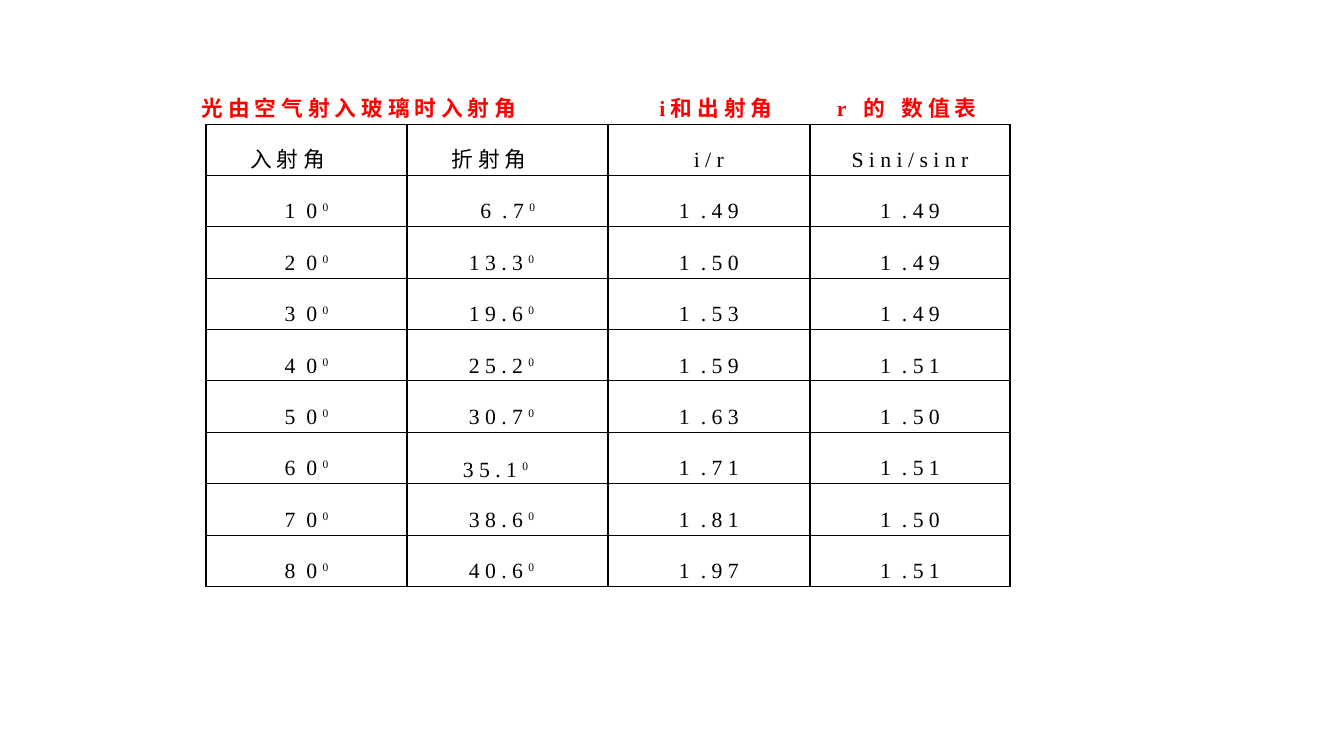
from lxml.etree import SubElement
from pptx import Presentation
from pptx.dml.color import RGBColor
from pptx.enum.text import MSO_ANCHOR as Anchor, MSO_AUTO_SIZE as AutoSize, PP_ALIGN as Align
from pptx.oxml.ns import qn
from pptx.util import Pt

SCALE = 9144
COLOURS = {"heading": "FF0000", "ink": "000000"}
CJK, LATIN = "Noto Sans CJK SC", "Times New Roman"
BODY_SIZE, DEGREE_SIZE, WIDE_GAP = 15.5, 14.2, 200

HEADERS = [("入 射 角", CJK), ("折 射 角", CJK), ("i / r", LATIN), ("S i n i / s i n r", LATIN)]
READINGS = [
    ("10", "6.7", "1.49", "1.49"),
    ("20", "13.3", "1.50", "1.49"),
    ("30", "19.6", "1.53", "1.49"),
    ("40", "25.2", "1.59", "1.51"),
    ("50", "30.7", "1.63", "1.50"),
    ("60", "35.1", "1.71", "1.51"),
    ("70", "38.6", "1.81", "1.50"),
    ("80", "40.6", "1.97", "1.51"),
]


class Slide:
    """Holds the style and the current page, and draws each kind of element."""

    def __init__(self, deck):
        self.page = deck.slides.add_slide(deck.slide_layouts[5])

    def px(self, *lengths):
        return [length * SCALE for length in lengths]

    def add_text(self, para, spans, face, colour, bold=False, tabs=()):
        properties = para._p.get_or_add_pPr()
        if tabs:
            tab_list = SubElement(properties, qn("a:tabLst"))
            for stop in tabs:
                SubElement(tab_list, qn("a:tab"), pos=str(stop * SCALE), algn="l")
        font = para.font
        font.size, font.bold = Pt(BODY_SIZE), bold
        font.color.rgb = RGBColor.from_string(COLOURS[colour])
        font.name = face
        SubElement(properties.find(qn("a:defRPr")), qn("a:ea"), typeface=CJK)
        for text, look in spans:
            span = para.add_run()
            span.text = text
            if "face" in look:
                span.font.name = look["face"]
                SubElement(span._r.get_or_add_rPr(), qn("a:ea"), typeface=CJK)
            if "gap" in look:
                span._r.get_or_add_rPr().set("spc", str(look["gap"]))
            if "raised" in look:
                span.font.size = Pt(DEGREE_SIZE)
                span._r.get_or_add_rPr().set("baseline", str(look["raised"]))

    def heading(self, box, left, width, spans, face, tabs=()):
        box.left, box.top, box.width, box.height = self.px(left, 92, width, 29)
        frame = box.text_frame
        frame.word_wrap, frame.auto_size = True, AutoSize.NONE
        frame.vertical_anchor = Anchor.TOP
        frame.margin_left, frame.margin_top, frame.margin_right, frame.margin_bottom = self.px(1, 2, 0, 0)
        para = frame.paragraphs[0]
        para.alignment = Align.LEFT
        self.add_text(para, spans, face, "heading", True, tabs)

    def title(self, *details):
        self.heading(self.page.shapes.title, *details)

    def label(self, *details):
        self.heading(self.page.shapes.add_textbox(0, 0, 0, 0), *details)

    def table(self, rows, columns, left, top, width, height):
        grid = self.page.shapes.add_table(rows, columns, *self.px(left, top, width, height)).table
        grid.first_row = grid.horz_banding = False
        return grid

    def cell(self, cell, spans, face, indent=0, top=24):
        cell.margin_left, cell.margin_top, cell.margin_right, cell.margin_bottom = self.px(indent, top, 0, 0)
        cell.vertical_anchor = Anchor.TOP
        properties = cell._tc.get_or_add_tcPr()
        for side, weight in (("lnL", 1.5), ("lnR", 1.5), ("lnT", 0.75), ("lnB", 0.75)):
            line = SubElement(properties, qn(f"a:{side}"), w=str(Pt(weight)))
            fill = SubElement(line, qn("a:solidFill"))
            SubElement(fill, qn("a:srgbClr"), val=COLOURS["ink"])
        cell.fill.background()
        para = cell.text_frame.paragraphs[0]
        para.alignment = Align.LEFT if indent else Align.CENTER
        self.add_text(para, spans, face, "ink")


def value_spans(value, is_angle):
    text = " ".join(value)
    if value.find(".") == 2:
        spans = [(text, {})]
    else:
        spans = [(text[:2], {"gap": WIDE_GAP}), (text[2:], {})]
    if is_angle:
        last, look = spans.pop()
        spans += [(last + " ", look), ("0", {"raised": 35000})]
    return spans


def main():
    deck = Presentation()
    deck.slide_width, deck.slide_height = 1333 * SCALE, 750 * SCALE
    slide = Slide(deck)
    slide.title(199, 432, [("光 由 空 气 射 入 玻 璃 时 入 射 角", {})], CJK)
    slide.label(653, 155, [("i ", {}), ("和 出 射 角", {"face": CJK})], LATIN)
    slide.label(829, 161, [("r\t", {}), ("的\t数 值 表", {"face": CJK})], LATIN, (26, 64))

    grid = slide.table(len(READINGS) + 1, len(HEADERS), 204, 123, 798, 459)
    for row in grid.rows:
        row.height = 51 * SCALE
    for column, (text, face) in enumerate(HEADERS):
        grid.columns[column].width = (200 if column % 2 == 0 else 199) * SCALE
        indent, top = (44, 18) if face == CJK else (0, 24)
        slide.cell(grid.cell(0, column), [(text, {})], face, indent, top)
    for row, reading in enumerate(READINGS, 1):
        for column, value in enumerate(reading):
            indent, top = (61 if value.find(".") == 2 else 0), 24
            if value == "35.1":
                indent, top = 55, 26
            slide.cell(grid.cell(row, column), value_spans(value, column < 2), LATIN, indent, top)

    deck.save("out.pptx")


if __name__ == "__main__":
    main()
